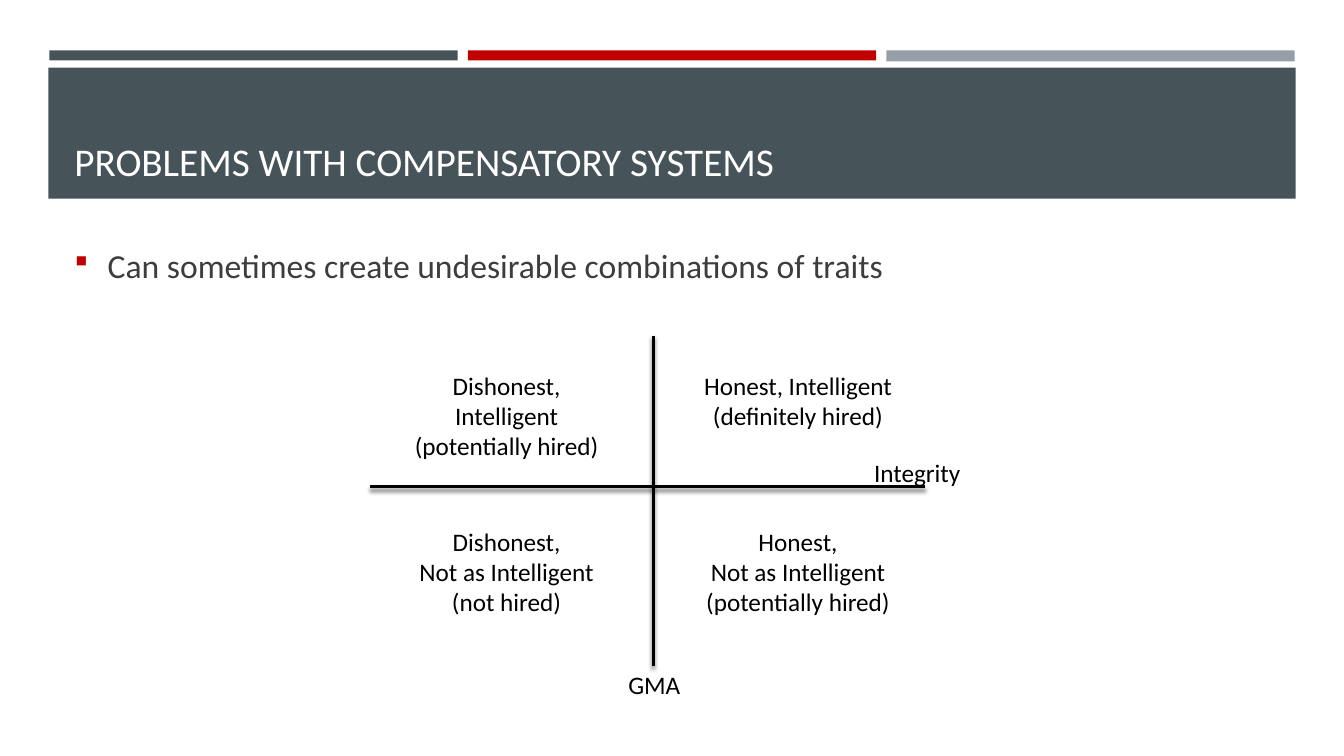
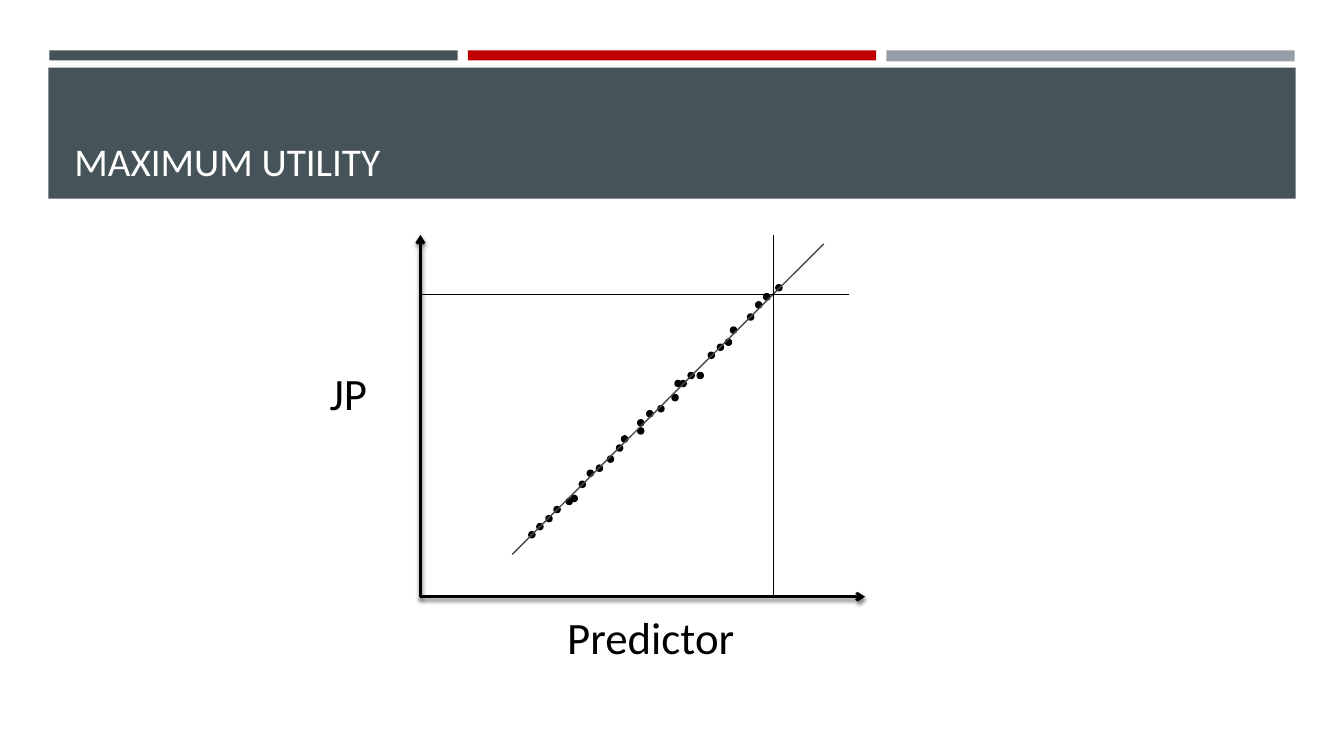
from dataclasses import dataclass
from typing import Any

from lxml.etree import SubElement
from pptx import Presentation
from pptx.dml.color import RGBColor
from pptx.enum.shapes import MSO_CONNECTOR, MSO_SHAPE
from pptx.enum.text import MSO_ANCHOR, MSO_AUTO_SIZE, PP_ALIGN
from pptx.oxml.ns import qn
from pptx.shapes.shapetree import GroupShapes, SlideShapes
from pptx.slide import Slide
from pptx.util import Inches, Pt

Canvas = SlideShapes | GroupShapes


@dataclass(frozen=True)
class Theme:
    font: str = "Calibri"
    bullet_font: str = "Wingdings"
    slate: str = "465359"
    red: str = "C00000"
    silver: str = "969FA7"
    white: str = "FFFFFF"
    black: str = "000000"
    body: str = "3D3D3D"
    trend: str = "3F4B50"
    title_size: int = 28
    body_size: int = 24
    label_size: int = 18
    axis_size: int = 32
    axis_width: float = 2
    thin_width: float = 1
    dot_width: float = 1.75


THEME = Theme()


@dataclass(frozen=True)
class Area:
    left: float
    top: float
    width: float
    height: float

    def lengths(self) -> list[Inches]:
        return [Inches(value) for value in (self.left, self.top, self.width, self.height)]


@dataclass(frozen=True)
class Bar:
    area: Area
    color: str


@dataclass(frozen=True)
class Label:
    area: Area
    lines: tuple[str, ...]
    size: int = THEME.label_size
    color: str = THEME.black
    align: PP_ALIGN = PP_ALIGN.CENTER
    anchor: MSO_ANCHOR = MSO_ANCHOR.TOP
    fit: MSO_AUTO_SIZE = MSO_AUTO_SIZE.SHAPE_TO_FIT_TEXT
    bullet: bool = False


@dataclass(frozen=True)
class Segment:
    start: tuple[float, float]
    end: tuple[float, float]
    color: str = THEME.black
    width: float = THEME.thin_width
    arrow: bool = False
    shadow: bool = False


BARS = (
    Bar(Area(0.49, 0.5, 4.05, 0.1), THEME.slate),
    Bar(Area(4.64, 0.5, 4.05, 0.1), THEME.red),
    Bar(Area(8.79, 0.5, 4.05, 0.11), THEME.silver),
    Bar(Area(0.48, 0.67, 12.37, 1.3), THEME.slate),
)

QUADRANT_AXES = (
    Segment((6.48, 3.33), (6.48, 6.61), width=THEME.axis_width, shadow=True),
    Segment((3.67, 4.83), (9.17, 4.83), width=THEME.axis_width, shadow=True),
)

LEFT, RIGHT, UPPER, LOWER = 3.86, 6.75, 3.62, 5.17
QUADRANT_LABELS = (
    Label(Area(8.57, 4.49, 1.12, 0.4), ("Integrity",), align=PP_ALIGN.LEFT),
    Label(Area(6.03, 6.59, 0.92, 0.4), ("GMA",)),
    Label(Area(RIGHT, UPPER, 2.33, 0.71), ("Honest, Intelligent", "(definitely hired)")),
    Label(Area(RIGHT, LOWER, 2.33, 1.01), ("Honest,", "Not as Intelligent", "(potentially hired)")),
    Label(Area(LEFT, LOWER, 2.33, 1.01), ("Dishonest,", "Not as Intelligent", "(not hired)")),
    Label(Area(LEFT, UPPER, 2.33, 0.71), ("Dishonest, Intelligent", "(potentially hired)")),
)

ORIGIN = (4.17, 5.92)
PLOT_AXES = (
    Segment(ORIGIN, (4.17, 2.33), width=THEME.axis_width, arrow=True, shadow=True),
    Segment(ORIGIN, (8.58, 5.92), width=THEME.axis_width, arrow=True, shadow=True),
)
PLOT_LINES = (
    Segment((8.17, 2.42), (5.08, 5.5), color=THEME.trend),
    Segment((7.67, 2.33), (7.67, 5.92)),
    Segment((4.17, 2.92), (8.42, 2.92)),
)
PLOT_LABELS = (
    Label(Area(3.17, 3.58, 0.75, 0.64), ("JP",), THEME.axis_size, align=PP_ALIGN.LEFT),
    Label(Area(4.83, 6, 3.25, 0.64), ("Predictor",), THEME.axis_size),
)

DOT_SIZE = 0.05
DOTS = (
    (5.25, 5.28), (5.33, 5.2), (5.42, 5.12), (5.5, 5.03), (5.62, 4.95),
    (5.67, 4.92), (5.75, 4.78), (5.83, 4.67), (5.92, 4.62), (6.03, 4.53),
    (6.12, 4.42), (6.17, 4.33), (6.33, 4.25), (6.33, 4.17), (6.42, 4.08),
    (6.53, 4.03), (6.67, 3.92), (6.7, 3.78), (6.75, 3.78), (6.83, 3.7),
    (6.92, 3.7), (7.03, 3.5), (7.12, 3.42), (7.2, 3.37), (7.25, 3.25),
    (7.42, 3.12), (7.5, 3), (7.58, 2.92), (7.58, 2.92), (7.7, 2.83),
)


def apply_format(target: Any, values: dict[str, Any]) -> None:
    for name, value in values.items():
        setattr(target, name, value)


def rgb(color: str) -> RGBColor:
    return RGBColor.from_string(color)


def draw_shape(canvas: Canvas, kind: MSO_SHAPE, area: Area, color: str, outline: float = 0) -> None:
    shape = canvas.add_shape(kind, *area.lengths())
    shape.shadow.inherit = False
    shape.fill.solid()
    shape.fill.fore_color.rgb = rgb(color)
    if outline:
        shape.line.color.rgb = rgb(color)
        shape.line.width = Pt(outline)
    else:
        shape.line.fill.background()


def add_bullet(paragraph: Any) -> None:
    properties = paragraph._p.get_or_add_pPr()
    indent = Inches(0.33)
    properties.set("marL", str(indent))
    properties.set("indent", str(-indent))
    color = SubElement(properties, qn("a:buClr"))
    SubElement(color, qn("a:srgbClr"), val=THEME.red)
    SubElement(properties, qn("a:buSzPct"), val="92000")
    SubElement(properties, qn("a:buFont"), typeface=THEME.bullet_font, charset="2")
    SubElement(properties, qn("a:buChar"), char="\u00a7")


def draw_label(canvas: Canvas, label: Label) -> None:
    frame = canvas.add_textbox(*label.area.lengths()).text_frame
    apply_format(frame, {
        "word_wrap": True,
        "auto_size": label.fit,
        "vertical_anchor": label.anchor,
        "text": "\n".join(label.lines),
    })
    for paragraph in frame.paragraphs:
        paragraph.alignment = label.align
        for span in paragraph.runs:
            apply_format(span.font, {"name": THEME.font, "size": Pt(label.size)})
            span.font.color.rgb = rgb(label.color)
        if label.bullet:
            add_bullet(paragraph)


def draw_segment(canvas: Canvas, segment: Segment) -> None:
    ends = [Inches(value) for value in (*segment.start, *segment.end)]
    connector = canvas.add_connector(MSO_CONNECTOR.STRAIGHT, *ends)
    connector.line.color.rgb = rgb(segment.color)
    connector.line.width = Pt(segment.width)
    properties = connector._element.spPr
    if segment.arrow:
        SubElement(properties.find(qn("a:ln")), qn("a:tailEnd"), type="arrow")
    effects = SubElement(properties, qn("a:effectLst"))
    if segment.shadow:
        shadow = SubElement(
            effects, qn("a:outerShdw"), blurRad=str(Pt(3)), dist=str(Pt(2)),
            dir="5400000", rotWithShape="0",
        )
        color = SubElement(shadow, qn("a:srgbClr"), val=THEME.black)
        SubElement(color, qn("a:alpha"), val="55000")


def add_titled_page(deck: Any, title: str) -> Slide:
    page = deck.slides.add_slide(deck.slide_layouts[6])
    for bar in BARS:
        draw_shape(page.shapes, MSO_SHAPE.RECTANGLE, bar.area, bar.color)
    draw_label(page.shapes, Label(
        Area(0.64, 0.77, 12.06, 1.11), (title,), THEME.title_size, THEME.white,
        PP_ALIGN.LEFT, MSO_ANCHOR.BOTTOM, MSO_AUTO_SIZE.NONE,
    ))
    return page


def build_compensatory_page(deck: Any) -> None:
    page = add_titled_page(deck, "PROBLEMS WITH COMPENSATORY SYSTEMS")
    draw_label(page.shapes, Label(
        Area(0.64, 2.38, 12.06, 4.02),
        ("Can sometimes create undesirable combinations of traits",),
        THEME.body_size, THEME.body, PP_ALIGN.LEFT, fit=MSO_AUTO_SIZE.NONE, bullet=True,
    ))
    quadrants = page.shapes.add_group_shape().shapes
    for axis in QUADRANT_AXES:
        draw_segment(quadrants, axis)
    for label in QUADRANT_LABELS:
        draw_label(quadrants, label)


def build_utility_page(deck: Any) -> None:
    page = add_titled_page(deck, "MAXIMUM UTILITY")
    for axis in PLOT_AXES:
        draw_segment(page.shapes, axis)
    for label in PLOT_LABELS:
        draw_label(page.shapes, label)
    for left, top in DOTS:
        area = Area(left, top, DOT_SIZE, DOT_SIZE)
        draw_shape(page.shapes, MSO_SHAPE.OVAL, area, THEME.black, THEME.dot_width)
    for line in PLOT_LINES:
        draw_segment(page.shapes, line)


def main() -> None:
    deck = Presentation()
    apply_format(deck, {"slide_width": Inches(13.33), "slide_height": Inches(7.5)})
    build_compensatory_page(deck)
    build_utility_page(deck)
    deck.save("out.pptx")


main()
